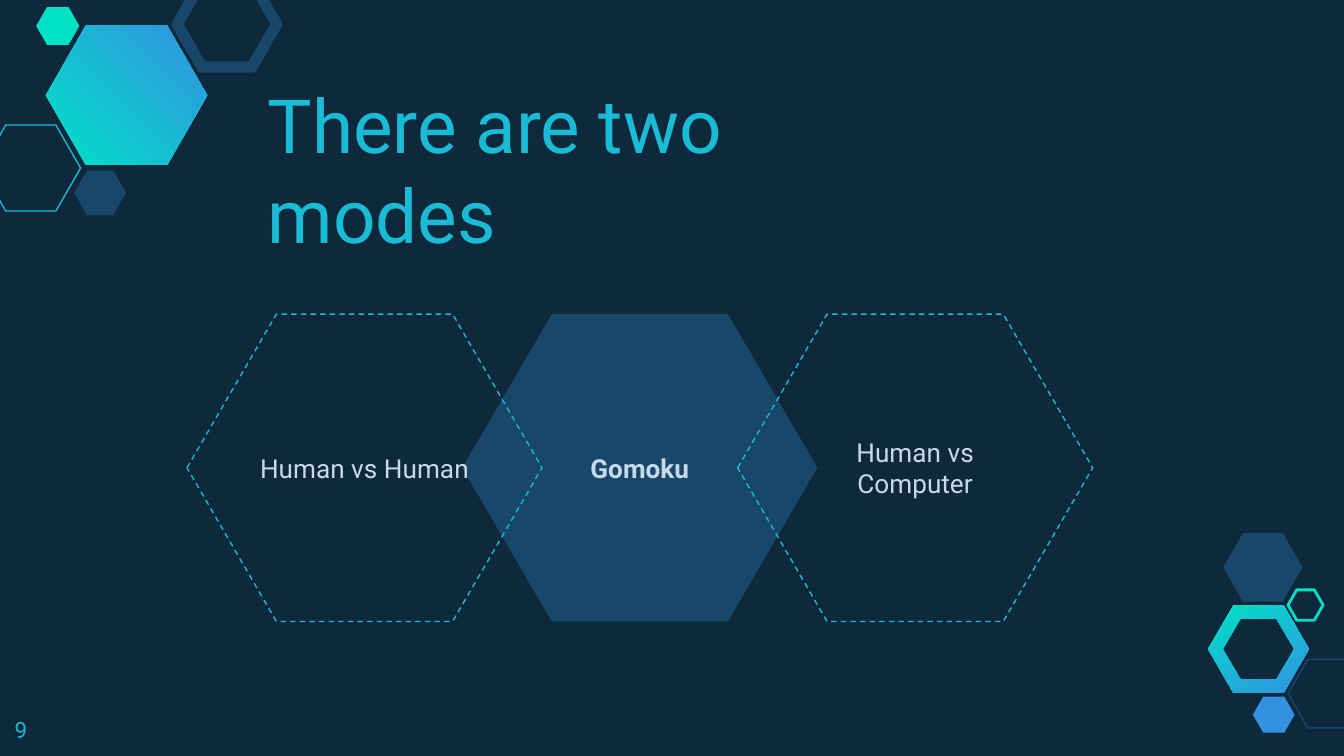
from pptx import Presentation
from pptx.dml.color import RGBColor
from pptx.enum.dml import MSO_LINE
from pptx.enum.shapes import MSO_SHAPE
from pptx.enum.text import MSO_ANCHOR, PP_ALIGN
from pptx.util import Pt

NIGHT = RGBColor(0x0E, 0x29, 0x3C)
NAVY = RGBColor(0x18, 0x47, 0x69)
CYAN = RGBColor(0x19, 0xBB, 0xD5)
TEAL = RGBColor(0x00, 0xE1, 0xC6)
BLUE = RGBColor(0x32, 0x92, 0xE1)
PALE = RGBColor(0xC6, 0xDA, 0xEC)
FONT = "Roboto"
INSET = 7.2

# Small decorative hexagons: left, top, width, height, fill, line, line width
DECORATIONS = [
    (-10.1, 67, 53.3, 46.1, None, CYAN, 0.75),
    (39.7, 91.4, 27.8, 24.1, NAVY, None, 0),
    (95, -10.1, 53.3, 46.1, None, NAVY, 6),
    (19.4, 3.8, 23.2, 20.2, TEAL, None, 0),
    (690, 353.2, 42.5, 36.8, None, NAVY, 0.75),
    (671.2, 373.2, 22.4, 19.4, BLUE, None, 0),
    (655.3, 285.6, 42.5, 36.8, NAVY, None, 0),
    (690, 316, 18.8, 16.3, None, TEAL, 1.5),
]

# Row of three mode hexagons
MODE_LEFT, MODE_TOP, MODE_STEP = 100.2, 168.3, 147.5
MODE_WIDTH, MODE_HEIGHT = 190.2, 164.7


def hexagon_points(left, top, width, height, corner):
    right, bottom, middle = left + width, top + height, top + height / 2
    points = [(left, middle), (left + corner, top), (right - corner, top),
              (right, middle), (right - corner, bottom), (left + corner, bottom)]
    return [(Pt(x), Pt(y)) for x, y in points]


def add_gradient_hexagon(page, outer, angle, hole=None):
    points = hexagon_points(*outer)
    builder = page.shapes.build_freeform(*points[0])
    builder.add_line_segments(points[1:])
    if hole:
        inner = hexagon_points(*hole)[::-1]
        builder.move_to(*inner[0])
        builder.add_line_segments(inner[1:])
    shape = builder.convert_to_shape()
    shape.shadow.inherit = False
    shape.line.fill.background()
    shape.fill.gradient()
    shape.fill.gradient_angle = angle
    for stop, colour in zip(shape.fill.gradient_stops, (TEAL, BLUE)):
        stop.color.rgb = colour


def add_hexagon(page, left, top, width, height, fill, line, line_width, corner=0.287):
    shape = page.shapes.add_shape(
        MSO_SHAPE.HEXAGON, Pt(left), Pt(top), Pt(width), Pt(height))
    shape.adjustments[0] = corner
    shape.shadow.inherit = False
    if fill is None:
        shape.fill.background()
    else:
        shape.fill.solid()
        shape.fill.fore_color.rgb = fill
    if line is None:
        shape.line.fill.background()
    else:
        shape.line.color.rgb = line
        shape.line.width = Pt(line_width)
    return shape


def write_text(shape, text, size, colour, anchor, align, bold=False, right=INSET):
    frame = shape.text_frame
    frame.word_wrap = True
    frame.vertical_anchor = anchor
    frame.margin_left = frame.margin_top = frame.margin_bottom = Pt(INSET)
    frame.margin_right = Pt(right)
    para = frame.paragraphs[0]
    para.text = text
    para.alignment = align
    para.font.name = FONT
    para.font.size = Pt(size)
    para.font.bold = bold
    para.font.color.rgb = colour


def add_mode(page, column, text, fill=None, line=None, bold=False):
    shape = add_hexagon(page, MODE_LEFT + column * MODE_STEP, MODE_TOP,
                        MODE_WIDTH, MODE_HEIGHT, fill, line, 0.75, corner=0.291)
    if line is not None:
        shape.line.dash_style = MSO_LINE.DASH
    write_text(shape, text, 14, PALE, MSO_ANCHOR.MIDDLE, PP_ALIGN.CENTER, bold)


def add_label(page, left, top, width, height, text, size, anchor, right=INSET):
    box = page.shapes.add_textbox(Pt(left), Pt(top), Pt(width), Pt(height))
    write_text(box, text, size, CYAN, anchor, PP_ALIGN.LEFT, right=right)


def main():
    deck = Presentation()
    deck.slide_width, deck.slide_height = Pt(720), Pt(405)
    page = deck.slides.add_slide(deck.slide_layouts[6])
    page.background.fill.solid()
    page.background.fill.fore_color.rgb = NIGHT

    # Corner decorations
    add_gradient_hexagon(page, (647.2, 324.3, 54, 46.8, 13.5), 300,
                         hole=(655, 331.4, 38.4, 32.6, 9.6))
    add_gradient_hexagon(page, (24.6, 13.8, 86.4, 74.6, 21.4), 45)
    for decoration in DECORATIONS:
        add_hexagon(page, *decoration)

    # Title and the three overlapping modes
    add_mode(page, 1, "Gomoku", fill=NAVY, bold=True)
    add_label(page, 136.4, 94.5, 389.5, 51, "There are two modes", 40,
              MSO_ANCHOR.BOTTOM, right=16)
    add_mode(page, 0, "Human vs Human", line=CYAN)
    add_mode(page, 2, "Human vs Computer", line=CYAN)

    # Page number
    add_label(page, 0.8, 376.6, 43.2, 28.1, "9", 12, MSO_ANCHOR.TOP)

    deck.save("out.pptx")


if __name__ == "__main__":
    main()
